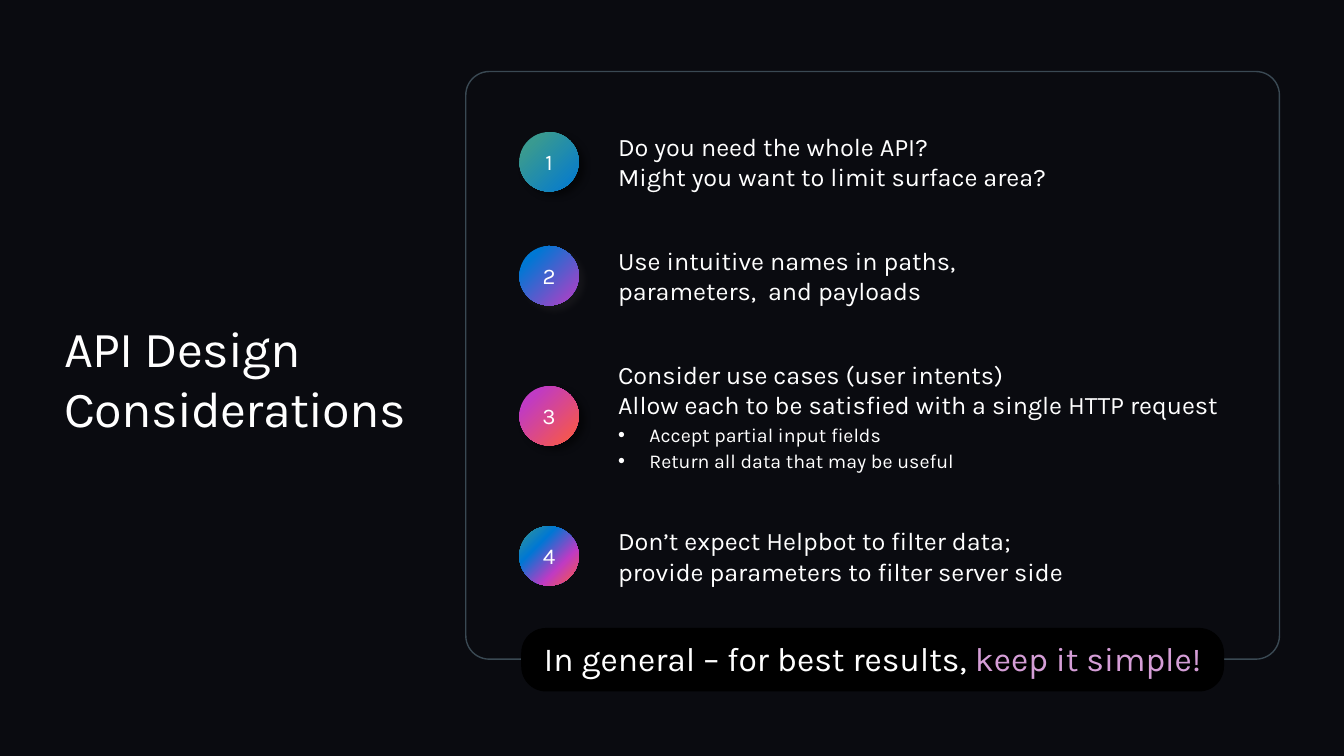
import pptx
import pptx.dml.color
import pptx.enum.shapes
import pptx.enum.text
import pptx.oxml
import pptx.oxml.ns
import pptx.util

Inches = pptx.util.Inches
Pt = pptx.util.Pt
RGBColor = pptx.dml.color.RGBColor
MSO_SHAPE = pptx.enum.shapes.MSO_SHAPE
PP_ALIGN = pptx.enum.text.PP_ALIGN
qn = pptx.oxml.ns.qn

NIGHT = RGBColor(0x0A, 0x0B, 0x10)
BLACK = RGBColor(0x00, 0x00, 0x00)
WHITE = RGBColor(0xFF, 0xFF, 0xFF)
SLATE = RGBColor(0x3A, 0x49, 0x53)
CHARCOAL = RGBColor(0x45, 0x41, 0x42)
BLUE = RGBColor(0x00, 0x78, 0xD4)
TEAL = RGBColor(0x39, 0x9A, 0x91)
PURPLE = RGBColor(0xC0, 0x3B, 0xC4)
CORAL = RGBColor(0xFF, 0x5C, 0x39)
LILAC = RGBColor(0xD5, 0x9E, 0xD7)

BADGE_SIZE = 0.59
BADGE_LEFT = 5.15
ITEM_LEFT = 6.13
ITEM_TOP = 1.3
ITEM_GAP = 0.52

ITEMS = [
    {"lines": ["Do you need the whole API?",
               "Might you want to limit surface area?"],
     "bullets": [], "width": 4.71, "height": 0.61,
     "stops": [(0, BLUE), (80, TEAL)], "shadow": (BLACK, 50, 40)},
    {"lines": ["Use intuitive names in paths, parameters,  and payloads"],
     "bullets": [], "width": 4.21, "height": 0.61,
     "stops": [(0, PURPLE), (80, BLUE)], "shadow": (CHARCOAL, 20, 45)},
    {"lines": ["Consider use cases (user intents)",
               "Allow each to be satisfied with a single HTTP request"],
     "bullets": ["Accept partial input fields",
                 "Return all data that may be useful"],
     "width": 6.03, "height": 1.13,
     "stops": [(0, CORAL), (80, PURPLE)], "shadow": (BLACK, 50, 40)},
    {"lines": ["Don’t expect Helpbot to filter data; "
               "provide parameters to filter server side"],
     "bullets": [], "width": 4.71, "height": 0.61,
     "stops": [(0, CORAL), (32, PURPLE), (68, BLUE), (100, TEAL)],
     "shadow": None},
]


def set_frame(s, margins=(0, 0, 0, 0)):
    tf = s.text_frame
    left, top, right, bottom = map(Inches, margins)
    frame_format = {
        "word_wrap": True,
        "vertical_anchor": pptx.enum.text.MSO_ANCHOR.MIDDLE,
        "margin_left": left, "margin_top": top,
        "margin_right": right, "margin_bottom": bottom,
    }
    for name, value in frame_format.items():
        setattr(tf, name, value)
    return tf


def add_run(p, text, size, color=WHITE):
    r = p.add_run()
    r.text = text
    for name, value in {"name": "Karla", "size": Pt(size)}.items():
        setattr(r.font, name, value)
    r.font.color.rgb = color
    return r


def add_text(slide, left, top, width, height):
    s = slide.shapes.add_textbox(*map(Inches, (left, top, width, height)))
    return set_frame(s)


def add_plain_shape(slide, kind, left, top, width, height):
    s = slide.shapes.add_shape(kind, *map(Inches, (left, top, width, height)))
    s.shadow.inherit = False
    s.fill.background()
    s.line.fill.background()
    return s


def set_radial_fill(s, stops):
    s.fill.gradient()
    old = s._element.spPr.find(qn("a:gradFill"))
    stop_xml = "".join(
        f'<a:gs pos="{pos * 1000}"><a:srgbClr val="{color}"/></a:gs>'
        for pos, color in stops)
    fill = pptx.oxml.parse_xml(
        f'<a:gradFill {pptx.oxml.ns.nsdecls("a")} rotWithShape="1">'
        f'<a:gsLst>{stop_xml}</a:gsLst><a:path path="circle">'
        '<a:fillToRect l="100000" t="100000"/></a:path></a:gradFill>')
    old.getparent().replace(old, fill)


def set_shadow(s, color, opacity, angle):
    effects = s._element.spPr.find(qn("a:effectLst"))
    effects.append(pptx.oxml.parse_xml(
        f'<a:outerShdw {pptx.oxml.ns.nsdecls("a")} blurRad="{Pt(5)}" '
        f'dist="{Pt(5)}" dir="{angle * 60000}" algn="tl" rotWithShape="0">'
        f'<a:srgbClr val="{color}"><a:alpha val="{opacity * 1000}"/>'
        '</a:srgbClr></a:outerShdw>'))


def add_badge(slide, number, center, stops, shadow):
    s = add_plain_shape(slide, MSO_SHAPE.OVAL, BADGE_LEFT,
                        center - BADGE_SIZE / 2, BADGE_SIZE, BADGE_SIZE)
    set_radial_fill(s, stops)
    if shadow:
        set_shadow(s, *shadow)
    p = set_frame(s, (0, 0.05, 0, 0.05)).paragraphs[0]
    p.alignment = PP_ALIGN.CENTER
    add_run(p, str(number), 16)


def add_bullet(tf, text):
    p = tf.add_paragraph()
    pPr = p._p.get_or_add_pPr()
    pPr.set("marL", str(Inches(0.31)))
    pPr.set("indent", str(-Inches(0.31)))
    for tag, name, value in (("a:buFont", "typeface", "Arial"),
                             ("a:buChar", "char", "•")):
        bullet = pptx.oxml.parse_xml(
            f'<{tag} {pptx.oxml.ns.nsdecls("a")} {name}="{value}"/>')
        pPr.append(bullet)
    p.space_before = Pt(2)
    add_run(p, text, 14)


def add_item(slide, top, item):
    tf = add_text(slide, ITEM_LEFT, top, item["width"], item["height"])
    p = tf.paragraphs[0]
    for i, line in enumerate(item["lines"]):
        if i:
            p.add_line_break()
        add_run(p, line, 18)
    for text in item["bullets"]:
        add_bullet(tf, text)


def add_title(slide):
    p = add_text(slide, 0.64, 3.14, 4.51, 1.21).paragraphs[0]
    r = add_run(p, "API Design Considerations", 36)
    r._r.get_or_add_rPr().set("spc", "-50")


def add_panel(slide):
    s = add_plain_shape(slide, MSO_SHAPE.ROUNDED_RECTANGLE,
                        4.62, 0.71, 8.07, 5.83)
    s.adjustments[0] = 0.04
    s.line.color.rgb = SLATE
    s.line.width = Pt(1)


def add_takeaway(slide):
    s = add_plain_shape(slide, MSO_SHAPE.ROUNDED_RECTANGLE,
                        5.17, 6.23, 6.97, 0.63)
    s.adjustments[0] = 0.39
    s.fill.solid()
    s.fill.fore_color.rgb = BLACK
    p = set_frame(s, (0.15, 0.02, 0.15, 0.06)).paragraphs[0]
    p.alignment = PP_ALIGN.CENTER
    add_run(p, "In general – for best results, ", 24)
    add_run(p, "keep it simple!", 24, LILAC)


def main():
    prs = pptx.Presentation()
    prs.slide_width = Inches(13.33)
    prs.slide_height = Inches(7.5)
    slide = prs.slides.add_slide(prs.slide_layouts[6])
    slide.background.fill.solid()
    slide.background.fill.fore_color.rgb = NIGHT
    add_title(slide)
    top = ITEM_TOP
    for number, item in enumerate(ITEMS, 1):
        add_badge(slide, number, top + item["height"] / 2,
                  item["stops"], item["shadow"])
        add_item(slide, top, item)
        top += item["height"] + ITEM_GAP
    add_panel(slide)
    add_takeaway(slide)
    prs.save("out.pptx")


if __name__ == "__main__":
    main()
